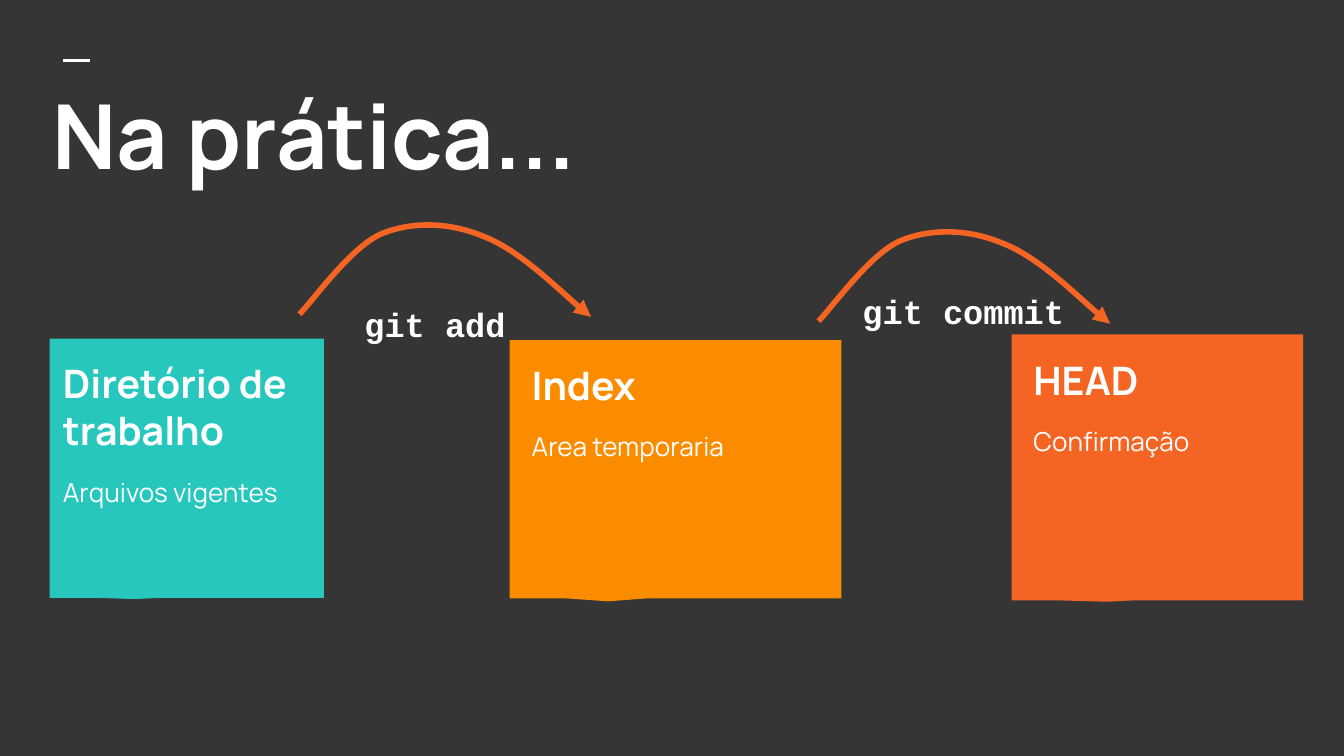
from lxml import etree
from pptx import Presentation
from pptx.dml.color import RGBColor
from pptx.enum.shapes import MSO_CONNECTOR, MSO_SHAPE
from pptx.enum.text import MSO_ANCHOR, MSO_AUTO_SIZE, PP_ALIGN
from pptx.oxml.ns import qn
from pptx.util import Cm, Pt

STRAIGHT = MSO_CONNECTOR.STRAIGHT
CALLOUT = MSO_SHAPE.RECTANGULAR_CALLOUT
TOP = MSO_ANCHOR.TOP
NO_FIT = MSO_AUTO_SIZE.NONE
LEFT, CENTER = PP_ALIGN.LEFT, PP_ALIGN.CENTER

TEAL, AMBER, ORANGE = "27C7BD", "FB8C00", "F46524"
ARC = [(0, 0), (0.25, -0.25), (0.97, -1.27), (1.55, -1.52), (2.11, -1.75),
       (2.82, -1.75), (3.48, -1.47), (4.14, -1.22), (5.18, -0.2), (5.51, 0.05)]
CARDS = [
    ("Diretório de trabalho", "Arquivos vigentes", TEAL,
     (0.94, 6.4, 5.18, 4.9), (-0.193, 0.505), (0.94, 6.55, 4.9, 4.39)),
    ("Index", "Area temporaria", AMBER,
     (9.63, 6.43, 6.27, 4.88), (-0.202, 0.512), (9.8, 6.58, 5.92, 4.37)),
    ("HEAD", "Confirmação", ORANGE,
     (19.12, 6.32, 5.51, 5.03), (-0.175, 0.505), (19.28, 6.48, 5.21, 4.5)),
]
STEPS = [
    ("git add", (5.66, 5.94), (6.38, 5.38, 3.68, 1.19)),
    ("git commit", (15.47, 6.07), (16.03, 5.13, 4.35, 1.19)),
]


def color(value):
    return RGBColor.from_string(value)


def write(paragraph, text, size, font="Manrope", bold=True, align=LEFT,
          after=0, spacing=1.0, fill="FFFFFF"):
    paragraph.alignment = align
    paragraph.space_before = Pt(0)
    paragraph.space_after = Pt(after)
    paragraph.line_spacing = spacing
    span = paragraph.add_run()
    span.text = text
    span.font.name = font
    span.font.size = Pt(size)
    span.font.bold = bold
    span.font.color.rgb = color(fill)


class Page:
    def __init__(self, deck, background):
        self.slide = deck.slides.add_slide(deck.slide_layouts[5])
        self.shapes = self.slide.shapes
        self.slide.background.fill.solid()
        self.slide.background.fill.fore_color.rgb = color(background)

    def prepare(self, box):
        frame = box.text_frame
        frame.word_wrap = True
        frame.auto_size = NO_FIT
        frame.vertical_anchor = TOP
        frame.margin_left = frame.margin_right = Cm(0.25)
        frame.margin_top = frame.margin_bottom = Cm(0.25)
        return frame

    def title(self, text, left, top, width, height):
        box = self.shapes.title
        box.left, box.top = Cm(left), Cm(top)
        box.width, box.height = Cm(width), Cm(height)
        write(self.prepare(box).paragraphs[0], text, 48)

    def text_box(self, area):
        return self.prepare(self.shapes.add_textbox(*map(Cm, area)))

    def rule(self, left, right, top):
        line = self.shapes.add_connector(
            STRAIGHT, Cm(left), Cm(top), Cm(right), Cm(top))
        line.line.color.rgb = color("FFFFFF")
        line.line.width = Pt(1.5)
        etree.SubElement(line._element.spPr, qn("a:effectLst"))

    def callout(self, area, tip, fill):
        shape = self.shapes.add_shape(CALLOUT, *map(Cm, area))
        shape.adjustments[0], shape.adjustments[1] = tip
        shape.shadow.inherit = False
        shape.fill.solid()
        shape.fill.fore_color.rgb = color(fill)
        shape.line.fill.background()

    def card_text(self, heading, detail, area):
        frame = self.text_box(area)
        write(frame.paragraphs[0], heading, 21, after=12)
        write(frame.add_paragraph(), detail, 14, bold=False, after=12)

    def curved_arrow(self, left, top):
        points = [(Cm(left + x), Cm(top + y)) for x, y in ARC]
        builder = self.shapes.build_freeform(*points[0])
        builder.add_line_segments(points[1:], close=False)
        arrow = builder.convert_to_shape()
        arrow.shadow.inherit = False
        arrow.fill.background()
        arrow.line.color.rgb = color(ORANGE)
        arrow.line.width = Pt(3)
        segments = list(arrow._element.iter(qn("a:lnTo")))
        outline = segments[0].getparent()
        for index in range(0, len(segments), 3):
            curve = etree.SubElement(outline, qn("a:cubicBezTo"))
            for segment in segments[index:index + 3]:
                curve.append(segment[0])
                outline.remove(segment)
        border = arrow._element.spPr.find(qn("a:ln"))
        etree.SubElement(border, qn("a:tailEnd"), type="triangle")

    def command(self, text, area):
        write(self.text_box(area).paragraphs[0], text, 18,
              font="Courier New", align=CENTER, spacing=1.15)


def main():
    deck = Presentation()
    deck.slide_width, deck.slide_height = Cm(25.4), Cm(14.29)
    page = Page(deck, "353535")
    page.rule(1.19, 1.7, 1.14)
    page.title("Na prática...", 0.74, 1.27, 23.95, 2.84)
    for heading, detail, fill, area, tip, text_area in CARDS:
        page.callout(area, tip, fill)
        page.card_text(heading, detail, text_area)
    for text, start, area in STEPS:
        page.curved_arrow(*start)
        page.command(text, area)
    deck.save("out.pptx")


if __name__ == "__main__":
    main()
